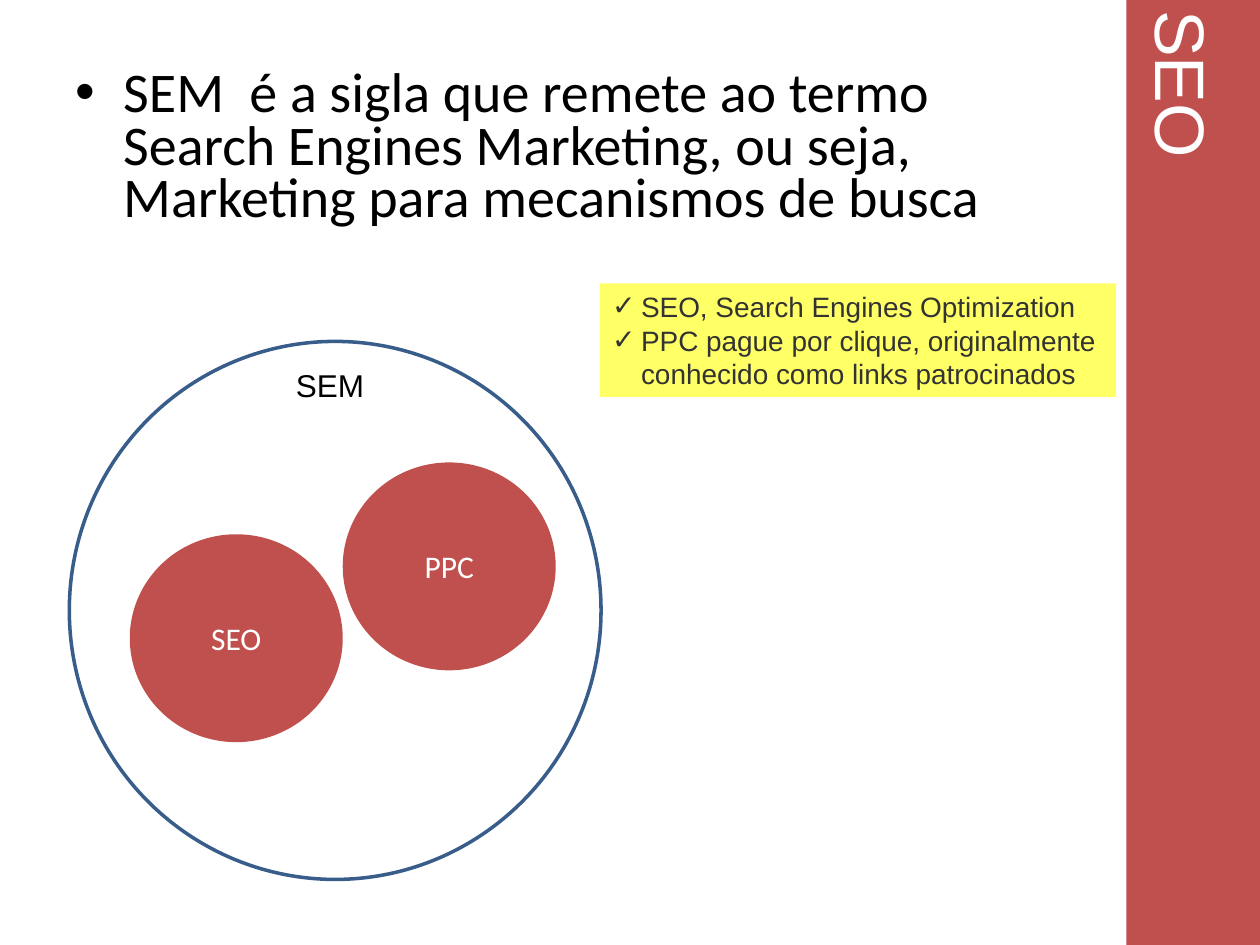
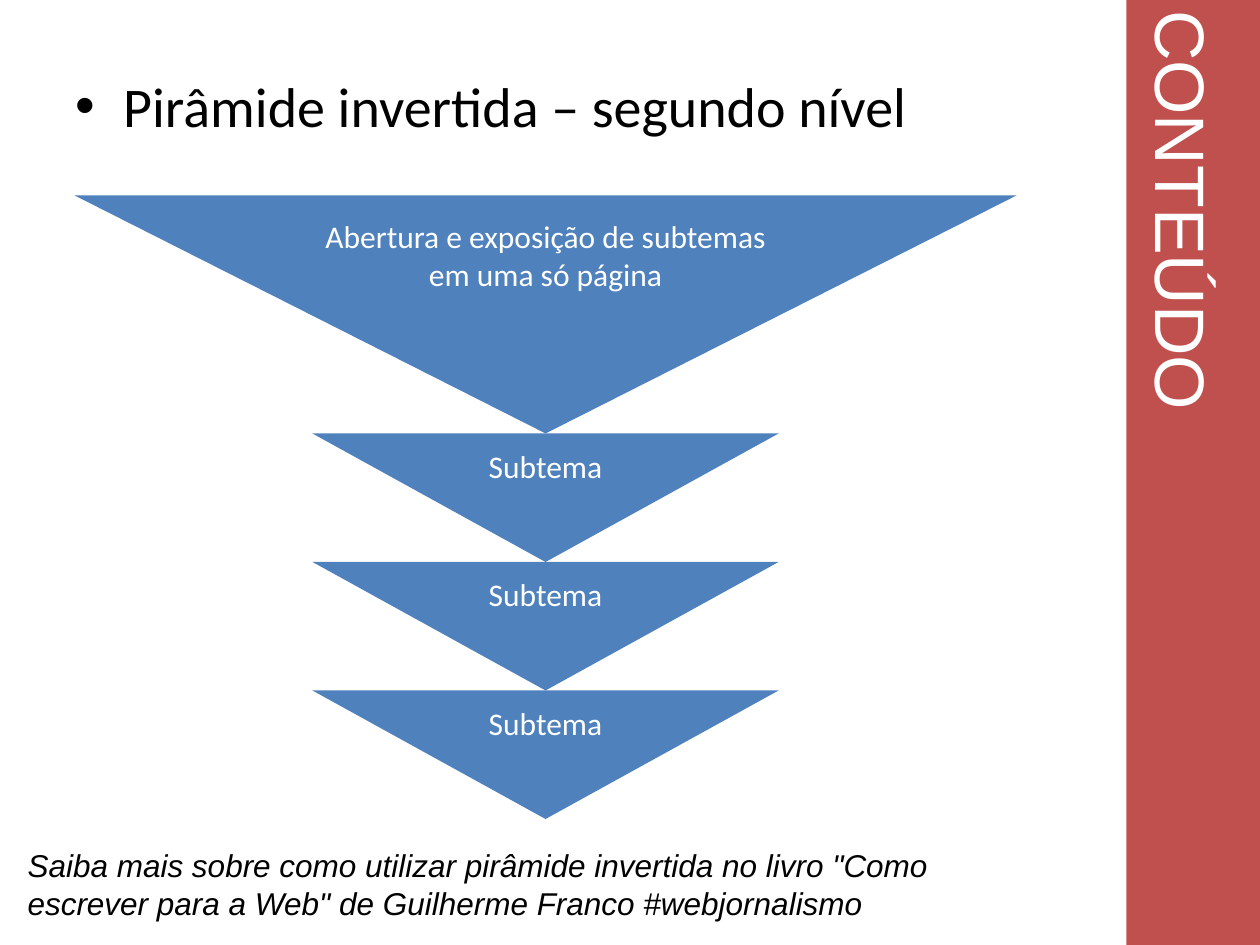
from lxml import etree
from pptx import Presentation
from pptx.dml.color import RGBColor
from pptx.enum.shapes import MSO_SHAPE
from pptx.enum.text import MSO_ANCHOR, MSO_AUTO_SIZE, PP_ALIGN
from pptx.oxml.ns import qn
from pptx.util import Inches, Pt

OVAL, RECT, MERGE = MSO_SHAPE.OVAL, MSO_SHAPE.RECTANGLE, MSO_SHAPE.FLOWCHART_MERGE
TOP, MIDDLE = MSO_ANCHOR.TOP, MSO_ANCHOR.MIDDLE
LEFT, CENTER = PP_ALIGN.LEFT, PP_ALIGN.CENTER

BLACK = RGBColor(0x00, 0x00, 0x00)
WHITE = RGBColor(0xFF, 0xFF, 0xFF)
RED = RGBColor(0xC0, 0x50, 0x4D)
BLUE = RGBColor(0x4F, 0x81, 0xBD)
NAVY = RGBColor(0x38, 0x5D, 0x8A)
YELLOW = RGBColor(0xFF, 0xFF, 0x66)
GRAY = RGBColor(0x33, 0x33, 0x33)

# The slide is a grid of 100 columns by 75 rows; a box is (column, row, columns, rows).
CELL = Inches(0.1)
BAND = (89.4, 0, 10.6, 75.3)
LEAD = (5, 5.2, 79.7, 15.7)
VENN = (5.5, 27.1, 42.2, 42.7)
LIST = (47.6, 22.5, 41, 9)
PYRAMID = (5.9, 15.5, 74.8, 49.5)
NOTE = (1.2, 66.6, 83.5, 7)


def emu(box):
    return [round(n * CELL) for n in box]


def inner(box, col, row, cols, rows):
    """Box placed relative to the corner of another box."""
    return box[0] + col, box[1] + row, cols, rows


def write(shape, lines, size, color, font="Arial", align=LEFT, anchor=TOP,
          bullet=None, indent=0, pitch=None, italic=None, wrap=True):
    frame = shape.text_frame
    frame.text = "\n".join(lines)
    frame.word_wrap = wrap
    frame.auto_size = MSO_AUTO_SIZE.NONE
    frame.vertical_anchor = anchor
    for para in frame.paragraphs:
        if bullet:
            props = para._p.get_or_add_pPr()
            props.set("marL", str(Inches(indent)))
            props.set("indent", str(-Inches(indent)))
            etree.SubElement(props, qn("a:buFont")).set("typeface", "Arial")
            etree.SubElement(props, qn("a:buChar")).set("char", bullet)
        para.alignment = align
        if pitch:
            para.line_spacing = Pt(pitch)
        para.font.name = font
        para.font.size = Pt(size)
        para.font.color.rgb = color
        para.font.italic = italic


def add_text(slide, box, lines, size, color=BLACK, **style):
    write(slide.shapes.add_textbox(*emu(box)), lines, size, color, **style)


def add_form(slide, kind, box, fill=None, line=None):
    form = slide.shapes.add_shape(kind, *emu(box))
    form.shadow.inherit = False
    if fill is None:
        form.fill.background()
    else:
        form.fill.solid()
        form.fill.fore_color.rgb = fill
    if line is None:
        form.line.fill.background()
    else:
        form.line.color.rgb = line
        form.line.width = Pt(2)
    return form


def add_label(slide, kind, box, fill, text):
    form = add_form(slide, kind, box, fill)
    write(form, [text], 18, WHITE, font="Calibri", align=CENTER, anchor=MIDDLE)


def add_page(deck, title, lead, pitch=None):
    """Slide with the vertical title band and its leading bullet."""
    slide = deck.slides.add_slide(deck.slide_layouts[5])
    band = slide.shapes.title
    band.left, band.top, band.width, band.height = emu(BAND)
    band.fill.solid()
    band.fill.fore_color.rgb = RED
    write(band, [title], 40, WHITE, align=CENTER, anchor=MIDDLE)
    frame = band.text_frame
    frame.margin_left, frame.margin_right = Inches(0.05), Inches(0.2)
    frame.margin_top, frame.margin_bottom = Inches(0.08), Inches(0.1)
    frame._txBody.bodyPr.set("vert", "eaVert")
    add_text(slide, LEAD, [lead], 32, font="Calibri", bullet="•", indent=0.38, pitch=pitch)
    return slide


def add_venn(slide, box):
    add_form(slide, OVAL, box, line=NAVY)
    add_text(slide, inner(box, 17, 1.5, 7.4, 4), ["SEM"], 18, wrap=False)
    for text, col, row in (("SEO", 4.8, 15.3), ("PPC", 21.7, 9.6)):
        add_label(slide, OVAL, inner(box, col, row, 16.9, 16.5), RED, text)


def add_list(slide, box, lines):
    form = add_form(slide, RECT, box, YELLOW)
    write(form, lines, 16, GRAY, bullet="✓", indent=0.23, pitch=19.2)


def add_pyramid(slide, box, head, parts):
    wide, tall = box[2:]
    top, small = 18.9, 37
    step = (tall - top) / len(parts)
    add_label(slide, MERGE, inner(box, 0, 0, wide, top), BLUE, head)
    for i, text in enumerate(parts):
        spot = inner(box, (wide - small) / 2, top + i * step, small, step)
        add_label(slide, MERGE, spot, BLUE, text)


def main():
    deck = Presentation()
    deck.slide_width, deck.slide_height = 100 * CELL, 75 * CELL

    page = add_page(deck, "SEO", "SEM  é a sigla que remete ao termo Search Engines "
                    "Marketing, ou seja, Marketing para mecanismos de busca", pitch=30)
    add_venn(page, VENN)
    add_list(page, LIST, [
        "SEO, Search Engines Optimization",
        "PPC pague por clique, originalmente conhecido como links patrocinados"])

    page = add_page(deck, "CONTEÚDO", "Pirâmide invertida – segundo nível")
    add_pyramid(page, PYRAMID, "Abertura e exposição de subtemas em uma só página",
                ["Subtema"] * 3)
    add_text(page, NOTE, ['Saiba mais sobre como utilizar pirâmide invertida no livro "Como '
                          'escrever para a Web" de Guilherme Franco #webjornalismo'],
             18, italic=True, pitch=22)

    deck.save("out.pptx")


if __name__ == "__main__":
    main()
